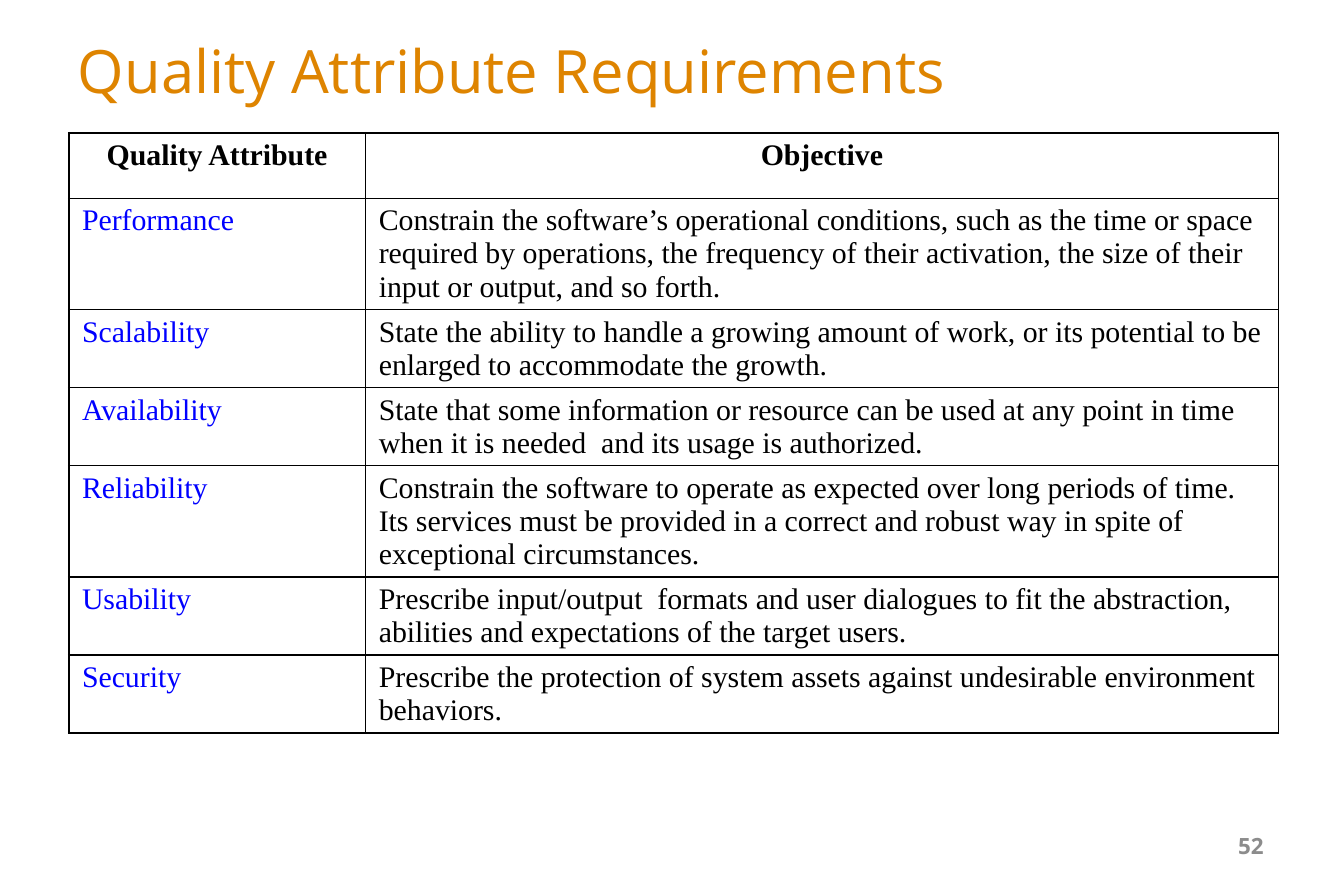
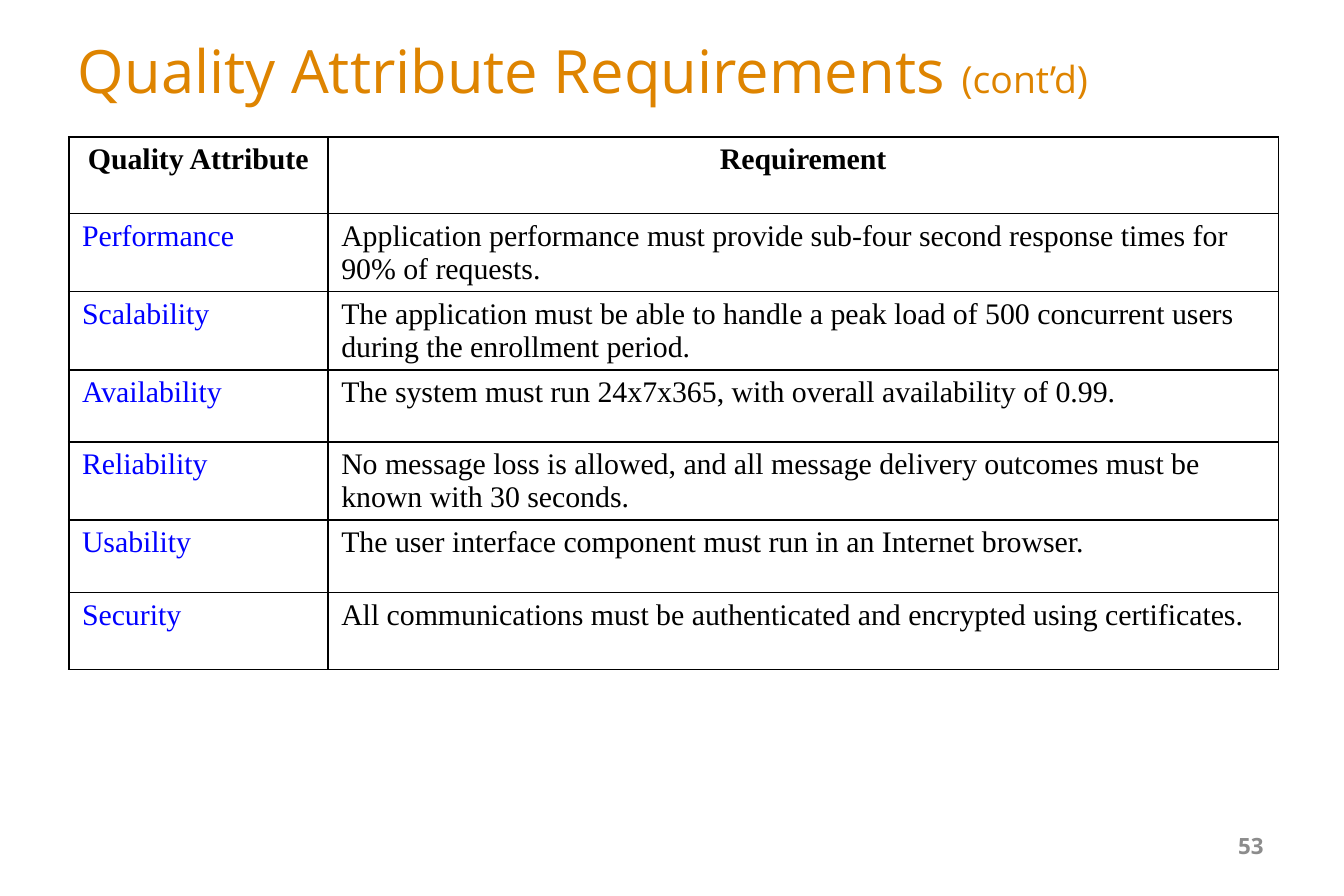
from lxml import etree
from pptx import Presentation
from pptx.dml.color import RGBColor
from pptx.enum.text import MSO_ANCHOR, MSO_AUTO_SIZE, PP_ALIGN
from pptx.oxml.ns import qn
from pptx.util import Cm, Pt

LEFT, MID, RIGHT, JUST = PP_ALIGN.LEFT, PP_ALIGN.CENTER, PP_ALIGN.RIGHT, PP_ALIGN.JUSTIFY
CENTRE = MSO_ANCHOR.MIDDLE
FIXED = MSO_AUTO_SIZE.NONE
SANS, SERIF = "Open Sans", "Times New Roman"
ORANGE, BLACK, BLUE, GREY = "DE8400", "000000", "0000FF", "8C8C8C"
TITLE = "Quality Attribute Requirements"
TRAITS = ("Performance", "Scalability", "Availability",
          "Reliability", "Usability", "Security")

WIDE, HIGH = 25.4, 16.94
HEAD = (1.22, 0.61, 22.86, 1.4)
FOOT = (18.21, 15.42, 5.92, 1.12)
TALL, SHORT = 1.45, 1.37

GOALS = (
    "Constrain the software’s operational conditions, such as the time or space "
    "required by operations, the frequency of their activation, the size of their "
    "input or output, and so forth.",
    "State the ability to handle a growing amount of work, or its potential to be "
    "enlarged to accommodate the growth.",
    "State that some information or resource can be used at any point in time "
    "when it is needed  and its usage is authorized. ",
    "Constrain the software to operate as expected over long periods of time. "
    "Its services must be provided in a correct and robust way in spite of "
    "exceptional circumstances.",
    "Prescribe input/output  formats and user dialogues to fit the abstraction, "
    "abilities and expectations of the target users.",
    "Prescribe the protection of system assets against undesirable environment "
    "behaviors.",
)
NEEDS = (
    "Application performance must provide sub-four second response times for "
    "90% of requests.",
    "The application must be able to handle a peak load of 500 concurrent users "
    "during the enrollment period.",
    "The system must run 24x7x365, with overall availability of 0.99.",
    "No message loss is allowed, and all message delivery outcomes must be "
    "known with 30 seconds.",
    "The user interface component must run in an Internet browser.",
    "All communications must be authenticated and encrypted using certificates.",
)


def paint(code):
    return RGBColor.from_string(code)


def write(par, text, font=SERIF, size=16, color=BLACK, bold=False, align=LEFT):
    par.alignment = align
    run = par.add_run()
    run.text = text
    run.font.name = font
    run.font.size = Pt(size)
    run.font.bold = bold
    run.font.color.rgb = paint(color)


def edge(cell):
    props = cell._tc.get_or_add_tcPr()
    for place, side in enumerate(("lnL", "lnR", "lnT", "lnB")):
        line = etree.Element(qn("a:" + side), w=str(Pt(1)))
        fill = etree.SubElement(line, qn("a:solidFill"))
        etree.SubElement(fill, qn("a:srgbClr"), val=BLACK)
        props.insert(place, line)


def fill_cell(cell, text, **form):
    cell.margin_left = cell.margin_right = Cm(0.25)
    cell.margin_top = cell.margin_bottom = Cm(0.11)
    cell.fill.background()
    edge(cell)
    write(cell.text_frame.paragraphs[0], text, **form)


def add_title(slide, box, note):
    shape = slide.shapes.title
    shape.left, shape.top, shape.width, shape.height = map(Cm, box)
    frame = shape.text_frame
    frame.auto_size = FIXED
    frame.vertical_anchor = CENTRE
    par = frame.paragraphs[0]
    form = dict(font=SANS, color=ORANGE)
    write(par, TITLE + (" " if note else ""), size=32, **form)
    if note:
        write(par, note, size=20, **form)


def add_grid(slide, box, first, top, label, texts):
    left, upper, width = box
    rows = (top, TALL, TALL, SHORT, SHORT, SHORT, TALL)
    grid = slide.shapes.add_table(len(rows), 2, Cm(left), Cm(upper),
                                  Cm(width), Cm(sum(rows))).table
    grid.first_row = grid.horz_banding = False
    for col, size in zip(grid.columns, (first, width - first)):
        col.width = Cm(size)
    for row, size in zip(grid.rows, rows):
        row.height = Cm(size)
    for col, text in enumerate(("Quality Attribute", label)):
        fill_cell(grid.cell(0, col), text, bold=True, align=MID)
    for row, (trait, text) in enumerate(zip(TRAITS, texts), 1):
        fill_cell(grid.cell(row, 0), trait, color=BLUE, align=JUST)
        fill_cell(grid.cell(row, 1), text)


def add_number(slide, box, number):
    frame = slide.shapes.add_textbox(*map(Cm, box)).text_frame
    frame.word_wrap = True
    frame.vertical_anchor = CENTRE
    write(frame.paragraphs[0], str(number), font=SANS, size=12,
          color=GREY, bold=True, align=RIGHT)


def add_page(deck, number, note, box, **grid):
    slide = deck.slides.add_slide(deck.slide_layouts[5])
    add_title(slide, HEAD, note)
    add_grid(slide, box, **grid)
    add_number(slide, FOOT, number)


deck = Presentation()
deck.slide_width, deck.slide_height = Cm(WIDE), Cm(HIGH)
add_page(deck, 52, "", (1.3, 2.51, 22.86),
         first=5.61, top=1.24, label="Objective", texts=GOALS)
add_page(deck, 53, "(cont’d)", (1.3, 2.59, 22.86),
         first=4.9, top=TALL, label="Requirement", texts=NEEDS)
deck.save("out.pptx")
